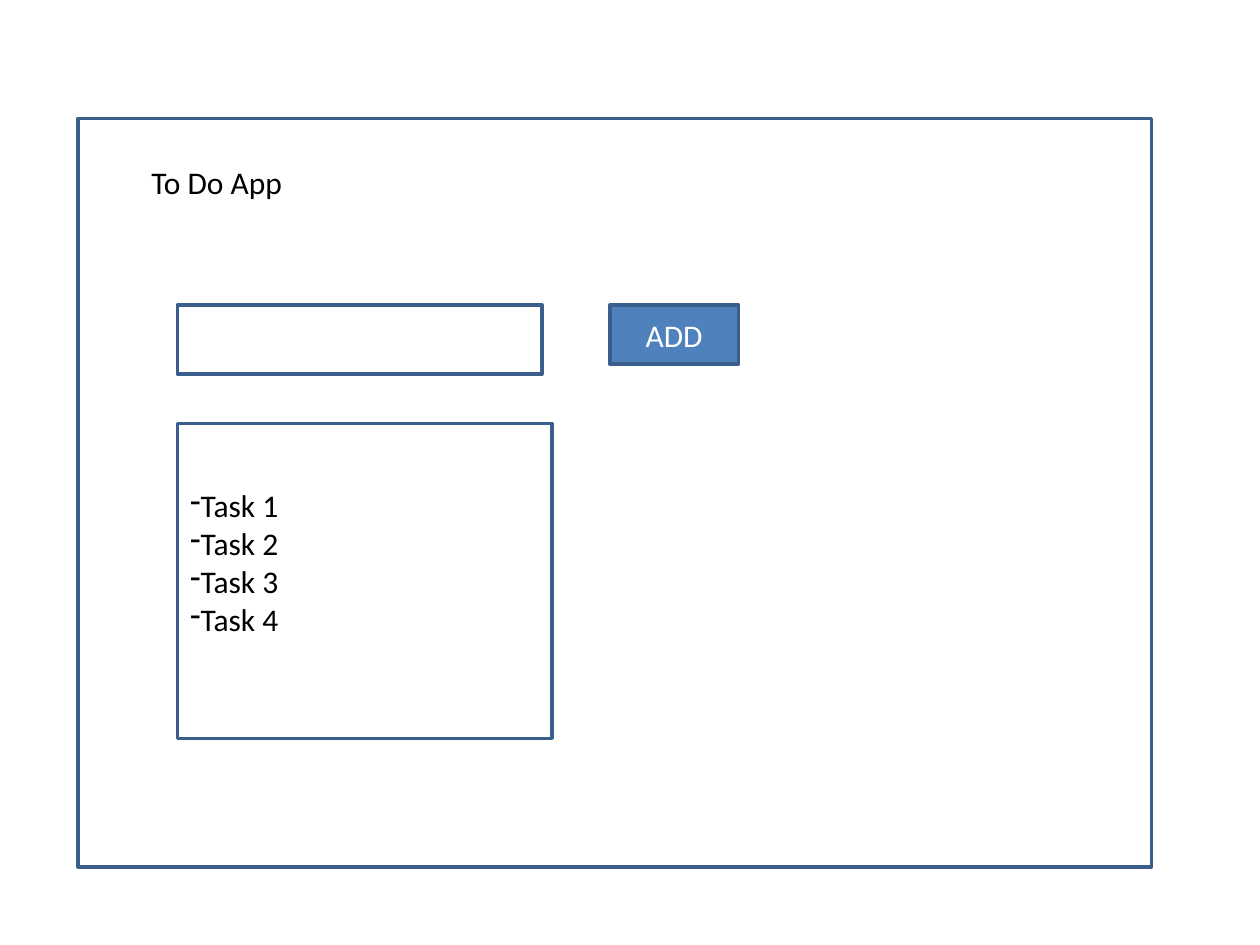
"""Build a wireframe slide of a to-do app."""
from dataclasses import dataclass

from lxml import etree
from pptx import Presentation
from pptx.dml.color import RGBColor
from pptx.enum.shapes import MSO_SHAPE
from pptx.enum.text import MSO_ANCHOR, MSO_AUTO_SIZE, PP_ALIGN
from pptx.oxml.ns import qn
from pptx.util import Inches, Pt

RECTANGLE = MSO_SHAPE.RECTANGLE
MIDDLE = MSO_ANCHOR.MIDDLE
NO_FIT = MSO_AUTO_SIZE.NONE
CENTER, LEFT = PP_ALIGN.CENTER, PP_ALIGN.LEFT
COLORS = {"white": "FFFFFF", "black": "000000", "border": "3A5F8C", "button": "4F81BD"}
FIELD_LEFT, FIELD_TOP = 1.41, 2.42


@dataclass(frozen=True)
class Panel:
    left: float
    top: float
    width: float
    height: float
    fill: str = "white"
    line: str = "border"


FRAME = Panel(0.62, 0.94, 8.52, 5.94)
HEADING = Panel(0.86, 1.17, 1.72, 0.55, line="white")
ENTRY = Panel(FIELD_LEFT, FIELD_TOP, 2.89, 0.55)
BUTTON = Panel(4.84, FIELD_TOP, 1.02, 0.47, fill="button")
TASK_LIST = Panel(FIELD_LEFT, 3.36, 2.97, 2.5)


def color(name: str) -> RGBColor:
    return RGBColor.from_string(COLORS[name])


def style_panel(box, panel: Panel) -> None:
    box.fill.solid()
    box.fill.fore_color.rgb = color(panel.fill)
    box.line.color.rgb = color(panel.line)
    box.line.width = Pt(2)


def add_panel(page, panel: Panel):
    box = page.shapes.add_shape(
        RECTANGLE, Inches(panel.left), Inches(panel.top), Inches(panel.width), Inches(panel.height)
    )
    box.shadow.inherit = False
    style_panel(box, panel)
    return box


def place_placeholder(box, panel: Panel) -> None:
    box.left, box.top = Inches(panel.left), Inches(panel.top)
    box.width, box.height = Inches(panel.width), Inches(panel.height)
    style_panel(box, panel)


def write_lines(box, lines: list[str], text_color: str, alignment) -> None:
    frame = box.text_frame
    frame.text = "\n".join(lines)
    frame.auto_size = NO_FIT
    frame.word_wrap = True
    frame.vertical_anchor = MIDDLE
    for para in frame.paragraphs:
        para.alignment = alignment
        para.space_before = Pt(0)
        para.font.name = "Calibri"
        para.font.size = Pt(18)
        para.font.color.rgb = color(text_color)


def add_dashes(box) -> None:
    for para in box.text_frame.paragraphs:
        properties = para.font._element.getparent()
        properties.set("marL", "0")
        properties.set("indent", "0")
        dash = etree.Element(qn("a:buChar"), char="-")
        para.font._element.addprevious(etree.Element(qn("a:buFontTx")))
        para.font._element.addprevious(dash)


def main() -> None:
    deck = Presentation()
    deck.slide_width, deck.slide_height = Inches(10), Inches(7.5)
    page = deck.slides.add_slide(deck.slide_layouts[1])
    heading, tasks = page.shapes.title, page.placeholders[1]

    frame = add_panel(page, FRAME)
    frame.element.addnext(heading.element)
    place_placeholder(heading, HEADING)
    write_lines(heading, ["To Do App"], "black", CENTER)

    add_panel(page, ENTRY)
    button = add_panel(page, BUTTON)
    write_lines(button, ["ADD"], "white", CENTER)

    button.element.addnext(tasks.element)
    place_placeholder(tasks, TASK_LIST)
    write_lines(tasks, [f"Task {number}" for number in range(1, 5)], "black", LEFT)
    tasks.text_frame.margin_bottom = Inches(0.35)
    add_dashes(tasks)

    deck.save("out.pptx")


main()
